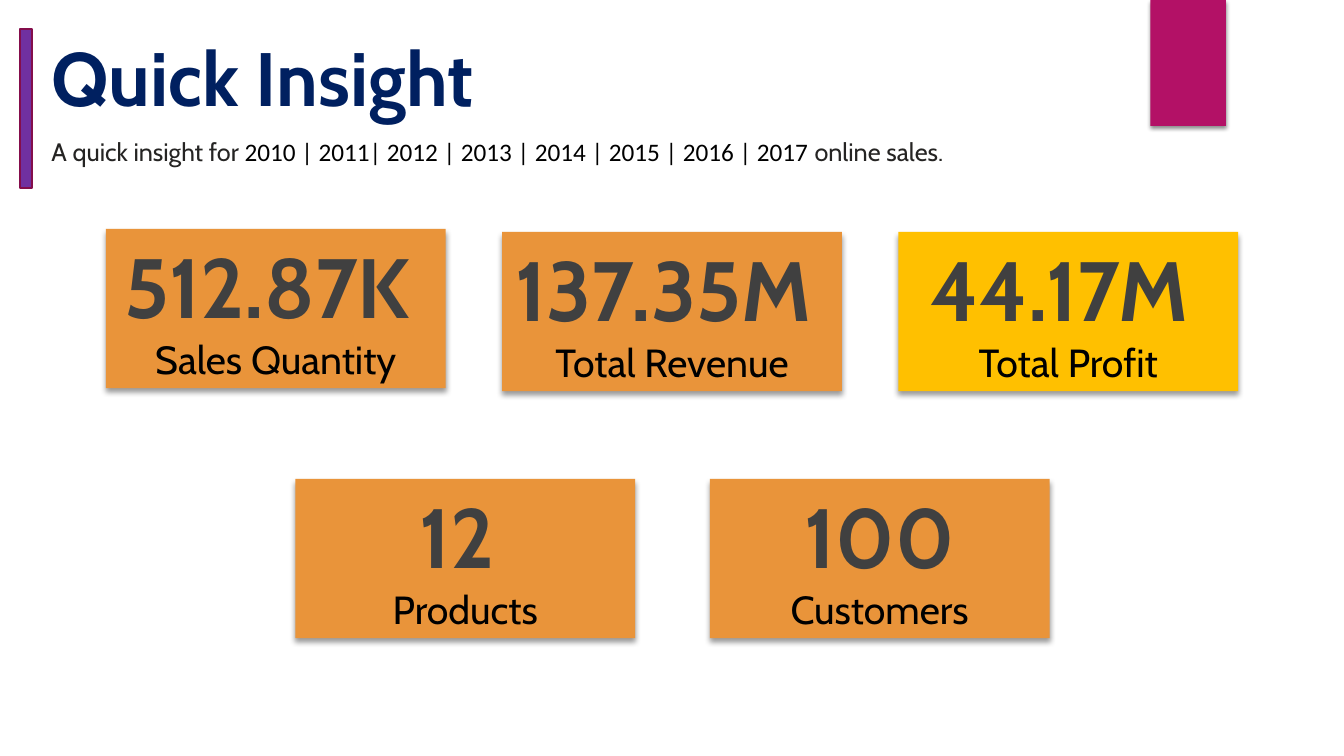
from dataclasses import dataclass

from lxml import etree
from pptx import Presentation
from pptx import util as u
from pptx.dml.color import RGBColor
from pptx.enum import shapes, text
from pptx.oxml.ns import qn


@dataclass(frozen=True)
class Theme:
    """Colours, fonts and type sizes of the slide."""
    navy: str = "002060"
    ink: str = "252423"
    black: str = "000000"
    grey: str = "404040"
    purple: str = "7030A0"
    plum: str = "840D4B"
    magenta: str = "B31166"
    orange: str = "E9943A"
    gold: str = "FFC000"
    font: str = "Cabin"
    year_font: str = "Calibri"
    space_font: str = "TeX Gyre Adventor"
    title_size: int = 54
    subtitle_size: int = 18
    value_size: int = 60
    space_size: int = 44
    label_size: int = 28


THEME = Theme()
CARD_WIDTH, CARD_HEIGHT = 3.37, 1.58
TOP_ROW = [
    ("512.87K", "Sales Quantity", THEME.orange, 2.27),
    ("137.35M", "Total Revenue", THEME.orange, 2.3),
    ("44.17M", "Total Profit", THEME.gold, 2.3),
]
BOTTOM_ROW = [
    ("12", "Products", THEME.orange, 4.75),
    ("100", "Customers", THEME.orange, 4.75),
]


def add_run(paragraph, words, size, color, font=THEME.font, bold=False):
    """Append one formatted run to a paragraph."""
    run = paragraph.add_run()
    run.text = words
    run.font.name = font
    run.font.size = u.Pt(size)
    run.font.bold = bold
    run.font.color.rgb = RGBColor.from_string(color)


def add_filled(slide, kind, box, fill):
    """Add a borderless preset shape with a solid fill."""
    shape = slide.shapes.add_shape(kind, *map(u.Inches, box))
    shape.shadow.inherit = False
    shape.fill.solid()
    shape.fill.fore_color.rgb = RGBColor.from_string(fill)
    shape.line.fill.background()
    return shape


def add_shadow(shape, opacity, blur, distance):
    """Give a shape a soft black shadow falling straight down."""
    effects = shape._element.spPr.find(qn("a:effectLst"))
    shadow = etree.SubElement(
        effects, qn("a:outerShdw"), blurRad=str(u.Pt(blur)),
        dist=str(u.Pt(distance)), dir="5400000", algn="ctr", rotWithShape="0")
    color = etree.SubElement(shadow, qn("a:srgbClr"), val=THEME.black)
    etree.SubElement(color, qn("a:alpha"), val=str(opacity * 1000))


def add_text_line(slide, box):
    """Add a text box without margins and return its paragraph."""
    frame = slide.shapes.add_textbox(*map(u.Inches, box)).text_frame
    frame.word_wrap = True
    frame.margin_left = frame.margin_right = 0
    frame.margin_top = frame.margin_bottom = 0
    return frame.paragraphs[0]


def add_header(slide, left, top):
    """Place the title, the subtitle, the side bar and the corner tab."""
    tab = add_filled(slide, shapes.MSO_SHAPE.RECTANGLE,
                     (11.41, 0, 0.75, 1.25), THEME.magenta)
    add_shadow(tab, 45, 3, 2)

    title = add_text_line(slide, (left, top, 10.89, 0.91))
    add_run(title, "Quick Insight", THEME.title_size, THEME.navy, bold=True)

    side_bar = add_filled(slide, shapes.MSO_SHAPE.MATH_MINUS,
                          (left - 1.33, top + 0.51, 2.15, 0.51), THEME.purple)
    side_bar.rotation = 90
    side_bar.line.color.rgb = RGBColor.from_string(THEME.plum)
    side_bar.line.width = u.Pt(1.5)

    subtitle = add_text_line(slide, (left, top + 1.04, 12.24, 0.31))
    size = THEME.subtitle_size
    add_run(subtitle, "A quick insight for ", size, THEME.ink)
    add_run(subtitle, "2010 | 2011| 2012 | 2013 | 2014 | 2015 | 2016 | 2017 ",
            size, THEME.black, THEME.year_font)
    add_run(subtitle, "online sales.", size, THEME.ink)


def add_card(slide, left, top, value, label, fill):
    """Place one card with a large figure above its label."""
    card = add_filled(slide, shapes.MSO_SHAPE.RECTANGLE,
                      (left, top, CARD_WIDTH, CARD_HEIGHT), fill)
    add_shadow(card, 40, 4, 3)
    frame = card.text_frame
    frame.word_wrap = True
    frame.auto_size = text.MSO_AUTO_SIZE.SHAPE_TO_FIT_TEXT
    frame.vertical_anchor = text.MSO_ANCHOR.MIDDLE

    figure, caption = frame.paragraphs[0], frame.add_paragraph()
    figure.alignment = caption.alignment = text.PP_ALIGN.CENTER
    add_run(figure, value, THEME.value_size, THEME.grey, bold=True)
    if label != "Customers":
        add_run(figure, " ", THEME.space_size, THEME.black, THEME.space_font)
    add_run(caption, label, THEME.label_size, THEME.black)


def add_card_row(slide, left, step, cards):
    """Place a row of cards at an equal horizontal step."""
    for column, (value, label, fill, top) in enumerate(cards):
        add_card(slide, left + column * step, top, value, label, fill)


def main():
    """Build the slide and save the presentation."""
    presentation = Presentation()
    presentation.slide_width = u.Inches(13.33)
    presentation.slide_height = u.Inches(7.5)
    slide = presentation.slides.add_slide(presentation.slide_layouts[6])
    add_header(slide, 0.51, 0.31)
    add_card_row(slide, 1.05, 3.93, TOP_ROW)
    add_card_row(slide, 2.93, 4.11, BOTTOM_ROW)
    presentation.save("out.pptx")


if __name__ == "__main__":
    main()
